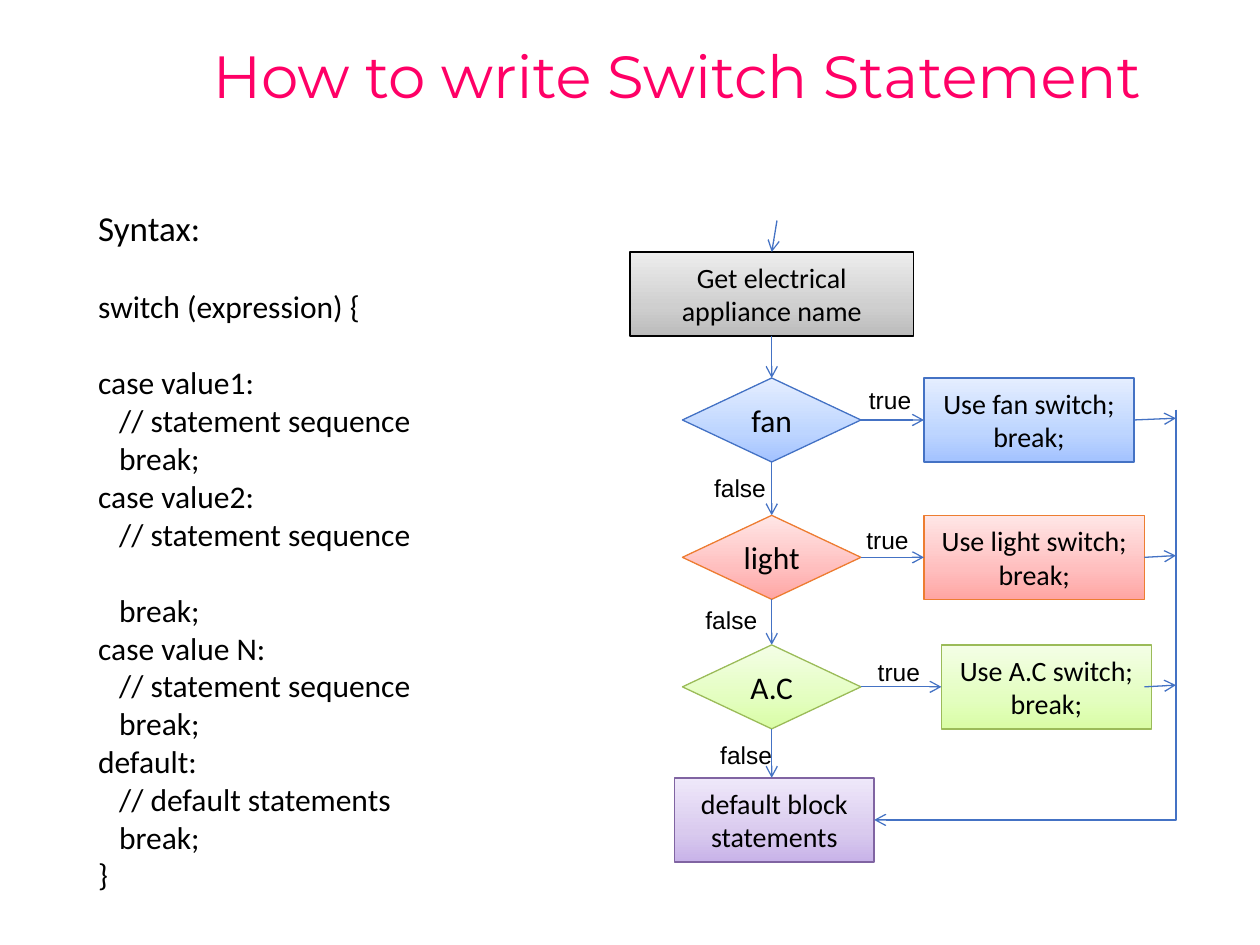
import copy

import pptx
import pptx.dml.color
import pptx.enum.shapes
import pptx.enum.text
import pptx.oxml.ns
import pptx.util
from lxml import etree

Pt = pptx.util.Pt
SHAPE = pptx.enum.shapes.MSO_SHAPE
CONNECTOR = pptx.enum.shapes.MSO_CONNECTOR
ALIGN = pptx.enum.text.PP_ALIGN
ANCHOR = pptx.enum.text.MSO_ANCHOR
qn = pptx.oxml.ns.qn

COLORS = {"title": "FF0066", "text": "000000", "arrow": "4472C4"}
STYLES = {
    "gray": {"line": "000000", "stops": ("BBBBBB", "CFCFCF", "EDEDED")},
    "blue": {"line": "4472C4", "stops": ("A3C2FF", "BDD5FF", "E5EEFF")},
    "red": {"line": "ED7D31", "stops": ("FFA5A3", "FFBEBE", "FFE6E6")},
    "green": {"line": "9BBB59", "stops": ("D9FDA5", "E3FEBF", "F4FEE6")},
    "purple": {"line": "8064A2", "stops": ("C8B3E9", "D9CAEE", "EFE8FA")},
}
STOP_POSITIONS = (0, 0.35, 1)
BOX_HEIGHT = 48
CENTER = 81
RAIL = 312
DIAMOND_LEFT, DIAMOND_WIDTH = 30, 102
BRANCHES = [
    {"name": "fan", "style": "blue", "top": 90, "action": (168, 120), "exit": 288,
     "true": (129.5, 90.5), "false": (41, 140.5)},
    {"name": "light", "style": "red", "top": 168.5, "action": (168, 126), "exit": 294,
     "true": (128, 170.5), "false": (36, 216)},
    {"name": "A.C", "style": "green", "top": 242.5, "action": (178, 120), "exit": 294,
     "true": (134.5, 246), "false": (44.5, 293.5)},
]
SYNTAX = [
    ("switch (expression) {", 0, 22),
    ("case value1:", 0, 0),
    ("// statement sequence", 12, 0),
    ("break;", 12, 0),
    ("case value2:", 0, 0),
    ("// statement sequence", 12, 22),
    ("break;", 12, 0),
    ("case value N:", 0, 0),
    ("// statement sequence", 12, 0),
    ("break;", 12, 0),
    ("default:", 0, 0),
    ("// default statements", 12, 0),
    ("break;", 12, 0),
    ("}", 0, 0),
]


def rgb(value):
    """Turn a hex string into a colour."""
    return pptx.dml.color.RGBColor.from_string(value)


def write(paragraph, text, size=18, font="Calibri", color="text",
          align=ALIGN.LEFT, indent=0, after=0):
    """Write formatted text into a paragraph."""
    run = paragraph.add_run()
    run.text = text
    run.font.size = Pt(size)
    run.font.name = font
    run.font.color.rgb = rgb(COLORS[color])
    paragraph.alignment = align
    paragraph.space_after = Pt(after)
    paragraph._p.get_or_add_pPr().set("marL", str(Pt(indent)))


def add_text_box(slide, left, top, width, height, wrap=True, anchor=ANCHOR.TOP):
    """Add an empty text box and return its text frame."""
    box = slide.shapes.add_textbox(Pt(left), Pt(top), Pt(width), Pt(height))
    box.text_frame.word_wrap = wrap
    box.text_frame.vertical_anchor = anchor
    return box.text_frame


def add_node(slide, kind, lines, style, left, top, width, size=16):
    """Add a flowchart shape with a gradient fill and centred lines."""
    shape = slide.shapes.add_shape(kind, Pt(left), Pt(top), Pt(width), Pt(BOX_HEIGHT))
    shape.shadow.inherit = False
    shape.line.color.rgb = rgb(STYLES[style]["line"])
    shape.line.width = Pt(0.75)
    shape.fill.gradient()
    shape.fill.gradient_angle = 90
    first_stop = shape._element.spPr.find(".//" + qn("a:gs"))
    first_stop.addnext(copy.deepcopy(first_stop))
    for stop, position, color in zip(shape.fill.gradient_stops, STOP_POSITIONS,
                                     STYLES[style]["stops"]):
        stop.position = position
        stop.color.rgb = rgb(color)
    frame = shape.text_frame
    frame.word_wrap = True
    frame.vertical_anchor = ANCHOR.MIDDLE
    for index, line in enumerate(lines):
        paragraph = frame.add_paragraph() if index else frame.paragraphs[0]
        write(paragraph, line, size=size, align=ALIGN.CENTER)


def add_arrow(slide, start, end, kind=CONNECTOR.STRAIGHT):
    """Add a thin connector with an open arrowhead at its end."""
    connector = slide.shapes.add_connector(kind, *map(Pt, (*start, *end)))
    connector.line.color.rgb = rgb(COLORS["arrow"])
    connector.line.width = Pt(0.75)
    line = connector.line._get_or_add_ln()
    etree.SubElement(line, qn("a:tailEnd"), type="arrow")
    etree.SubElement(connector._element.spPr, qn("a:effectLst"))
    return connector


def add_return_arrow(slide, start, end):
    """Add an elbow arrow that runs down from start and then left to end."""
    run, drop = start[0] - end[0], end[1] - start[1]
    left = (start[0] + end[0] - drop) / 2
    top = (start[1] + end[1] - run) / 2
    connector = add_arrow(slide, (left, top), (left + drop, top + run), CONNECTOR.ELBOW)
    properties = connector._element.spPr
    properties.find(qn("a:xfrm")).set("rot", "5400000")
    properties.find(qn("a:prstGeom")).set("prst", "bentConnector2")


def add_title(slide, left, top, width, height):
    """Place the slide title."""
    frame = add_text_box(slide, left, top, width, height, anchor=ANCHOR.MIDDLE)
    write(frame.paragraphs[0], "How to write Switch Statement",
          size=34, font="Montserrat", color="title")
    frame.paragraphs[0].line_spacing = 0.9


def add_syntax(slide, left, top, width, height):
    """Place the syntax listing."""
    frame = add_text_box(slide, left, top, width, height)
    write(frame.paragraphs[0], "Syntax:", size=20, after=22)
    for text, indent, after in SYNTAX:
        write(frame.add_paragraph(), text, indent=indent, after=after)


def add_flowchart(slide, left, top):
    """Place the flowchart with its top left corner at the given point."""
    def at(x, y):
        """Shift a point into the flowchart."""
        return left + x, top + y

    default_top = 318.5
    next_tops = [branch["top"] for branch in BRANCHES[1:]] + [default_top]
    add_node(slide, SHAPE.FLOWCHART_PROCESS, ["Get electrical appliance name"],
             "gray", *at(0, 18), 162)
    add_node(slide, SHAPE.FLOWCHART_PROCESS, ["default block statements"],
             "purple", *at(25.5, default_top), 114)
    add_arrow(slide, at(CENTER + 3, 0), at(CENTER, 18))
    add_arrow(slide, at(CENTER, 18 + BOX_HEIGHT), at(CENTER, BRANCHES[0]["top"]))
    for branch, next_top in zip(BRANCHES, next_tops):
        branch_top, style = branch["top"], branch["style"]
        middle = branch_top + BOX_HEIGHT / 2
        action_left, action_width = branch["action"]
        add_node(slide, SHAPE.FLOWCHART_DECISION, [branch["name"]], style,
                 *at(DIAMOND_LEFT, branch_top), DIAMOND_WIDTH, size=18)
        add_node(slide, SHAPE.FLOWCHART_PROCESS,
                 [f"Use {branch['name']} switch;", "break;"], style,
                 *at(action_left, branch_top), action_width)
        add_arrow(slide, at(CENTER, branch_top + BOX_HEIGHT), at(CENTER, next_top))
        add_arrow(slide, at(DIAMOND_LEFT + DIAMOND_WIDTH, middle), at(action_left, middle))
        add_arrow(slide, at(branch["exit"], middle), at(RAIL, middle - 1))
        for label, width in (("true", 39), ("false", 44.5)):
            frame = add_text_box(slide, *at(*branch[label]), width, 24.5, wrap=False)
            write(frame.paragraphs[0], label, size=14, font="Arial")
    add_return_arrow(slide, at(RAIL, 108), at(139.5, default_top + BOX_HEIGHT / 2))


def main():
    """Build and save the presentation."""
    presentation = pptx.Presentation()
    presentation.slide_width, presentation.slide_height = Pt(720), Pt(540)
    slide = presentation.slides.add_slide(presentation.slide_layouts[6])
    add_title(slide, 114.5, 0.5, 605.5, 89.5)
    add_syntax(slide, 49, 114.5, 294, 358.5)
    add_flowchart(slide, 360, 126)
    presentation.save("out.pptx")


if __name__ == "__main__":
    main()
